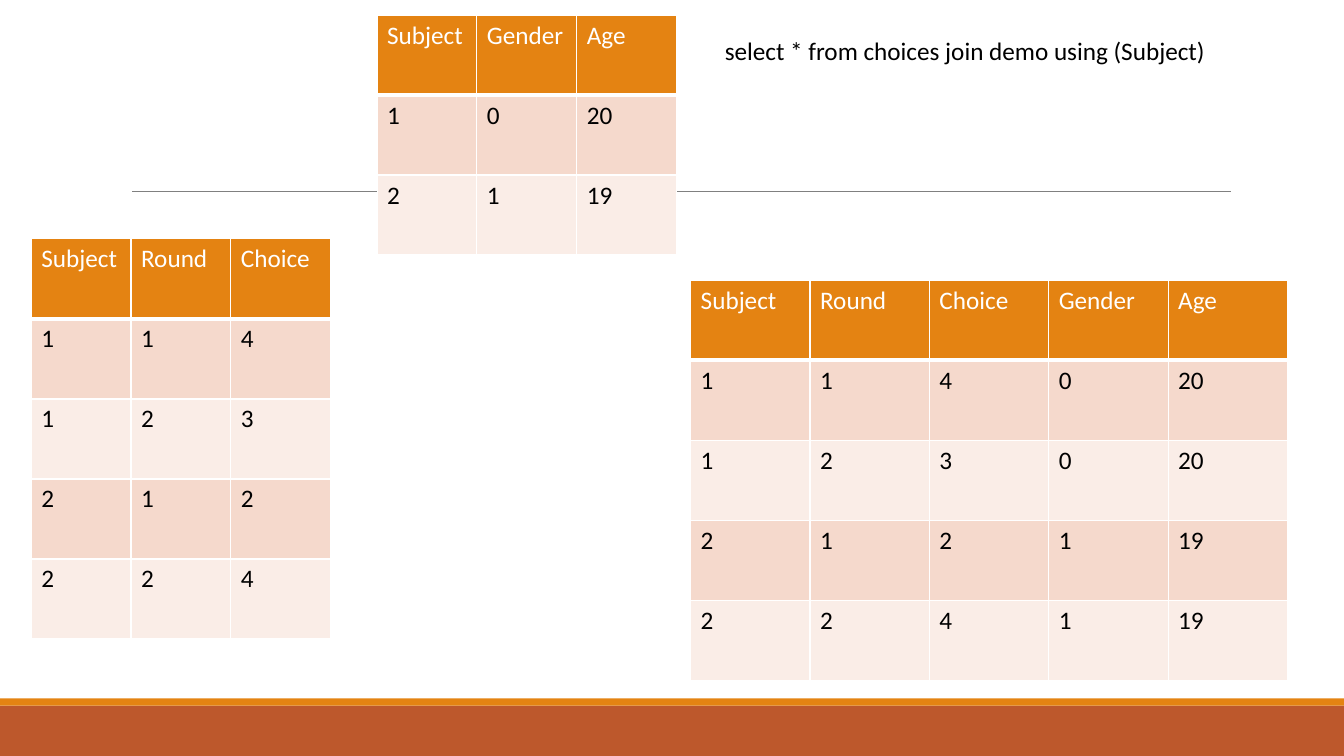
from lxml import etree
from pptx import Presentation
from pptx import util as u
from pptx.dml import color
from pptx.enum import shapes
from pptx.oxml import ns

WIDTH, HEIGHT = 13.33, 7.5
FONT, SIZE = "Calibri", 18
ORANGE, RUST, WHITE, BLACK, GREY = "E48312", "BD582C", "FFFFFF", "000000", "808080"
BANDS = ["F5D9CC", "FAEDE7"]

CHOICES = [["Subject", "Round", "Choice"],
           ["1", "1", "4"], ["1", "2", "3"], ["2", "1", "2"], ["2", "2", "4"]]
DEMO = [["Subject", "Gender", "Age"], ["1", "0", "20"], ["2", "1", "19"]]


def rgb(value):
    """Return the colour for a hex string."""
    return color.RGBColor.from_string(value)


def inches(box):
    """Convert a box given in inches to lengths."""
    return [u.Inches(length) for length in box]


def join_on_subject(left, right):
    """Join two tables on their first column."""
    lookup = {row[0]: row[1:] for row in right}
    return [row + lookup[row[0]] for row in left]


def add_span(para, words, ink):
    """Add one run of text in the slide's font."""
    span = para.add_run()
    span.text = words
    span.font.name, span.font.size = FONT, u.Pt(SIZE)
    span.font.color.rgb = rgb(ink)


def add_border(cell, side, points):
    """Draw a white border on one side of a cell."""
    properties = cell._tc.get_or_add_tcPr()
    line = etree.SubElement(properties, ns.qn(f"a:ln{side}"), w=str(u.Pt(points)))
    fill = etree.SubElement(line, ns.qn("a:solidFill"))
    etree.SubElement(fill, ns.qn("a:srgbClr"), val=WHITE)


def add_data_table(page, box, rows):
    """Fill a box with a banded table of equal columns and rows."""
    left, top, width, height = inches(box)
    table = page.shapes.add_table(len(rows), len(rows[0]), left, top, width, height).table
    for column in table.columns:
        column.width = int(width / len(rows[0]))
    for row in table.rows:
        row.height = int(height / len(rows))
    for index, values in enumerate(rows):
        header = index == 0
        for column, value in enumerate(values):
            cell = table.cell(index, column)
            for side in "LRTB":
                add_border(cell, side, 3 if header and side == "B" else 1)
            cell.fill.solid()
            cell.fill.fore_color.rgb = rgb(ORANGE if header else BANDS[(index - 1) % 2])
            add_span(cell.text_frame.paragraphs[0], value, WHITE if header else BLACK)


def add_band(page, box, fill):
    """Add a plain coloured band."""
    band = page.shapes.add_shape(shapes.MSO_SHAPE.RECTANGLE, *inches(box))
    band.shadow.inherit = False
    band.fill.solid()
    band.fill.fore_color.rgb = rgb(fill)
    band.line.fill.background()


def add_backdrop(page, box):
    """Add the footer bands and the thin rule."""
    left, top, width, height = box
    bottom = top + height
    add_band(page, (left, bottom - 0.5, width, 0.5), RUST)
    add_band(page, (left, bottom - 0.57, width, 0.07), ORANGE)
    rule = page.shapes.add_connector(shapes.MSO_CONNECTOR.STRAIGHT,
                                     *inches((left + 1.31, top + 1.9, left + 12.21, top + 1.9)))
    rule.line.color.rgb = rgb(GREY)
    rule.line.width = u.Pt(0.5)
    etree.SubElement(rule._element.spPr, ns.qn("a:effectLst"))


def add_query(page, box, words):
    """Add the query as a line of text."""
    frame = page.shapes.add_textbox(*inches(box)).text_frame
    frame.word_wrap = True
    add_span(frame.paragraphs[0], words, BLACK)


def main():
    """Build the slide and save it."""
    deck = Presentation()
    deck.slide_width, deck.slide_height = inches((WIDTH, HEIGHT))
    page = deck.slides.add_slide(deck.slide_layouts[6])
    add_backdrop(page, (0, 0, WIDTH, HEIGHT))
    add_data_table(page, (0.31, 2.37, 2.97, 3.97), CHOICES)
    add_data_table(page, (3.74, 0.15, 2.97, 2.38), DEMO)
    add_data_table(page, (6.85, 2.78, 5.92, 3.97), join_on_subject(CHOICES, DEMO))
    add_query(page, (7.09, 0.3, 5.52, 0.4), "select * from choices join demo using (Subject)")
    deck.save("out.pptx")


if __name__ == "__main__":
    main()
